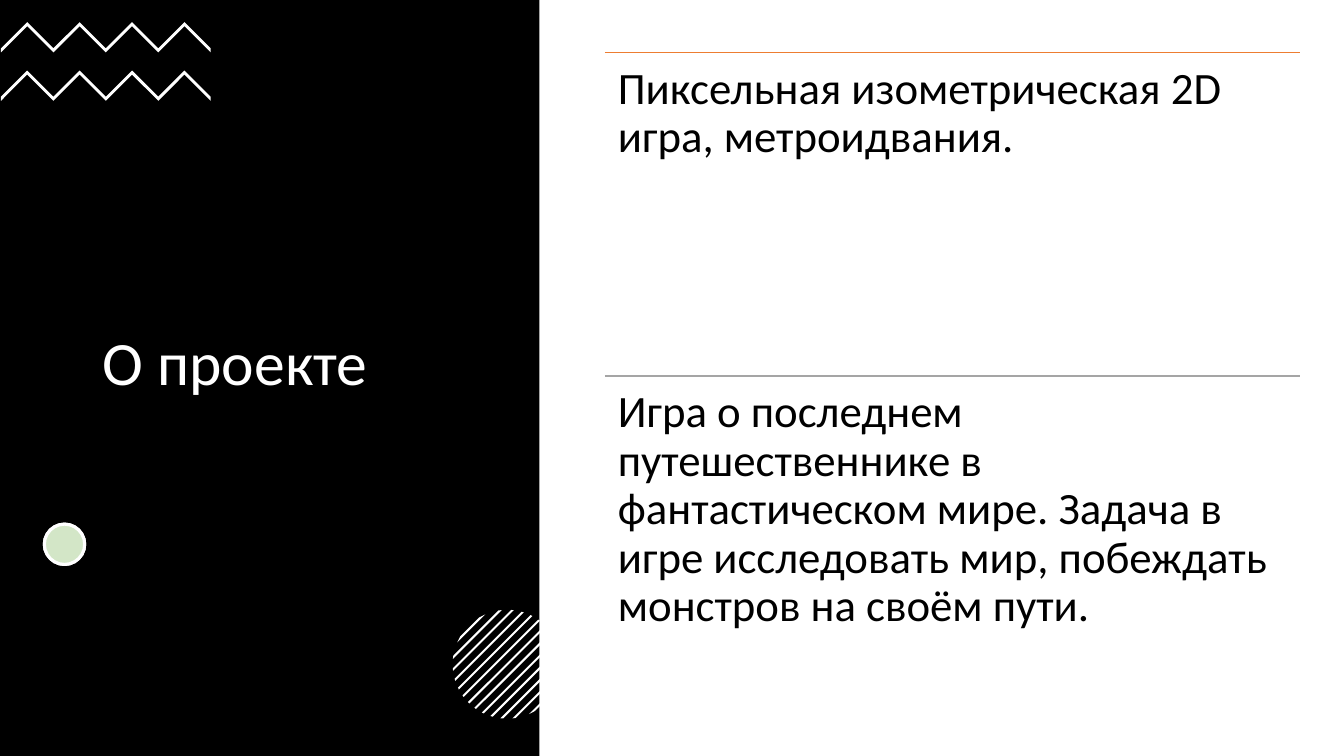
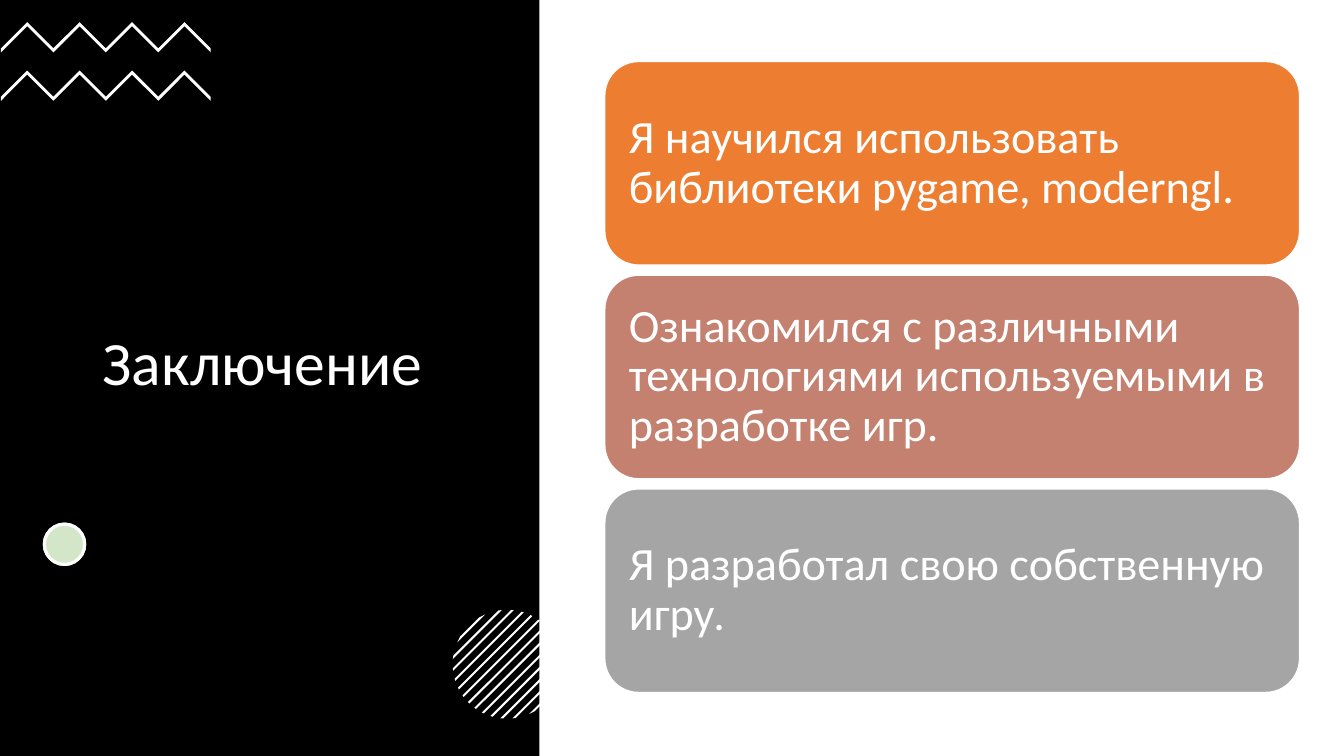
import math
from lxml import etree
from pptx import Presentation
from pptx import util as u
from pptx.dml.color import RGBColor
from pptx.enum import shapes, text
from pptx.oxml import ns

WIDTH, HEIGHT = 13.33, 7.5
BAND_WIDTH = 5.35
CONTENT_LEFT = 0.45 * WIDTH
CONTENT_WIDTH = WIDTH - CONTENT_LEFT - 0.44
BLACK, WHITE, GREEN = "000000", "FFFFFF", "70AD47"
ORANGE, ROSE, GREY = "ED7D31", "C48170", "A5A5A5"
FONT = "Calibri"
colour = RGBColor.from_string

about_title = "О проекте"
about_items = [
    (ORANGE, "Пиксельная изометрическая 2D игра, метроидвания."),
    (GREY, "Игра о последнем путешественнике в фантастическом мире. Задача в игре "
           "исследовать мир, побеждать монстров на своём пути."),
]
summary_title = "Заключение"
summary_items = [
    (ORANGE, "Я научился использовать библиотеки pygame, moderngl."),
    (ROSE, "Ознакомился с различными технологиями используемыми в разработке игр."),
    (GREY, "Я разработал свою собственную игру."),
]


def paint(shape, fill, line=None, line_width=1):
    shape.shadow.inherit = False
    shape.fill.solid()
    shape.fill.fore_color.rgb = colour(fill)
    if line:
        shape.line.color.rgb = colour(line)
        shape.line.width = u.Pt(line_width)
    else:
        shape.line.fill.background()


def write(shape, words, size, font_colour, margin, anchor):
    frame = shape.text_frame
    frame.text = words
    frame.word_wrap = True
    frame.auto_size = text.MSO_AUTO_SIZE.NONE
    frame.vertical_anchor = anchor
    frame.margin_left = frame.margin_right = u.Inches(margin)
    frame.margin_top = frame.margin_bottom = u.Inches(margin)
    paragraph = frame.paragraphs[0]
    paragraph.alignment = text.PP_ALIGN.LEFT
    paragraph.line_spacing = 0.9
    font = paragraph.runs[0].font
    font.name = FONT
    font.size = u.Pt(size)
    font.color.rgb = colour(font_colour)


outlines = []

zigzag_step, zigzag_rise, zigzag_thickness = 0.26, 0.26, 0.04
for zigzag_top in (0.22, 0.7):
    upper = [(0.01 + i * zigzag_step, zigzag_top + (i + 1) % 2 * zigzag_rise) for i in range(9)]
    lower = [(x, y + zigzag_thickness) for x, y in reversed(upper)]
    outlines.append(upper + lower)

centre_x, centre_y, radius = 5.03, 6.59, 0.54
stripe_pitch, stripe_half = 0.09, 0.01
for i in range(-6, 7):
    corners = []
    for edge, ends in ((-stripe_half, (1, -1)), (stripe_half, (-1, 1))):
        distance = i * 0.95 * stripe_pitch + edge
        half_chord = math.sqrt(radius ** 2 - distance ** 2)
        for end in ends:
            corners.append((centre_x + (distance + end * half_chord) / math.sqrt(2),
                            centre_y + (distance - end * half_chord) / math.sqrt(2)))
    outlines.append(corners)

presentation = Presentation()
presentation.slide_width = u.Inches(WIDTH)
presentation.slide_height = u.Inches(HEIGHT)
title_only = presentation.slide_layouts[5]

slides = []
for heading in (about_title, summary_title):
    slide = presentation.slides.add_slide(title_only)
    slides.append(slide)

    title = slide.shapes.title
    title.left, title.top = u.Inches(0.92), u.Inches(1.31)
    title.width, title.height = u.Inches(3.5), u.Inches(4.63)
    write(title, heading, 44, WHITE, 0.1, text.MSO_ANCHOR.MIDDLE)

    band = slide.shapes.add_shape(shapes.MSO_SHAPE.RECTANGLE, 0, 0,
                                  u.Inches(BAND_WIDTH), u.Inches(HEIGHT))
    paint(band, BLACK)
    title.element.addprevious(band.element)

    for fill in (WHITE, GREEN):
        dot = slide.shapes.add_shape(shapes.MSO_SHAPE.OVAL, u.Inches(0.44), u.Inches(5.2),
                                     u.Inches(0.4), u.Inches(0.4))
        paint(dot, fill, WHITE, 2.25)
    dot_colour = dot.element.spPr.find(ns.qn("a:solidFill"))[0]
    etree.SubElement(dot_colour, ns.qn("a:alpha"), val="30000")

    for outline in outlines:
        points = [(u.Inches(x), u.Inches(y)) for x, y in outline]
        builder = slide.shapes.build_freeform(*points[0])
        builder.add_line_segments(points[1:], close=True)
        paint(builder.convert_to_shape(), WHITE)

about, summary = slides

row_height = 3.21
for row, (line_colour, words) in enumerate(about_items):
    left, top = u.Inches(CONTENT_LEFT), u.Inches(0.52 + row * row_height)
    width = u.Inches(CONTENT_WIDTH)
    rule = about.shapes.add_connector(shapes.MSO_CONNECTOR.STRAIGHT, left, top, left + width, top)
    rule.line.color.rgb = colour(line_colour)
    rule.line.width = u.Pt(1)
    etree.SubElement(rule.element.spPr, ns.qn("a:effectLst"))
    box = about.shapes.add_textbox(left, top, width, u.Inches(row_height))
    write(box, words, 32, BLACK, 0.13, text.MSO_ANCHOR.TOP)

card_height, card_gap = 2.02, 0.1
for row, (fill, words) in enumerate(summary_items):
    card = summary.shapes.add_shape(
        shapes.MSO_SHAPE.ROUNDED_RECTANGLE,
        u.Inches(CONTENT_LEFT), u.Inches(0.61 + row * (card_height + card_gap)),
        u.Inches(CONTENT_WIDTH), u.Inches(card_height))
    paint(card, fill, WHITE)
    write(card, words, 33, WHITE, 0.14, text.MSO_ANCHOR.MIDDLE)

presentation.save("out.pptx")
